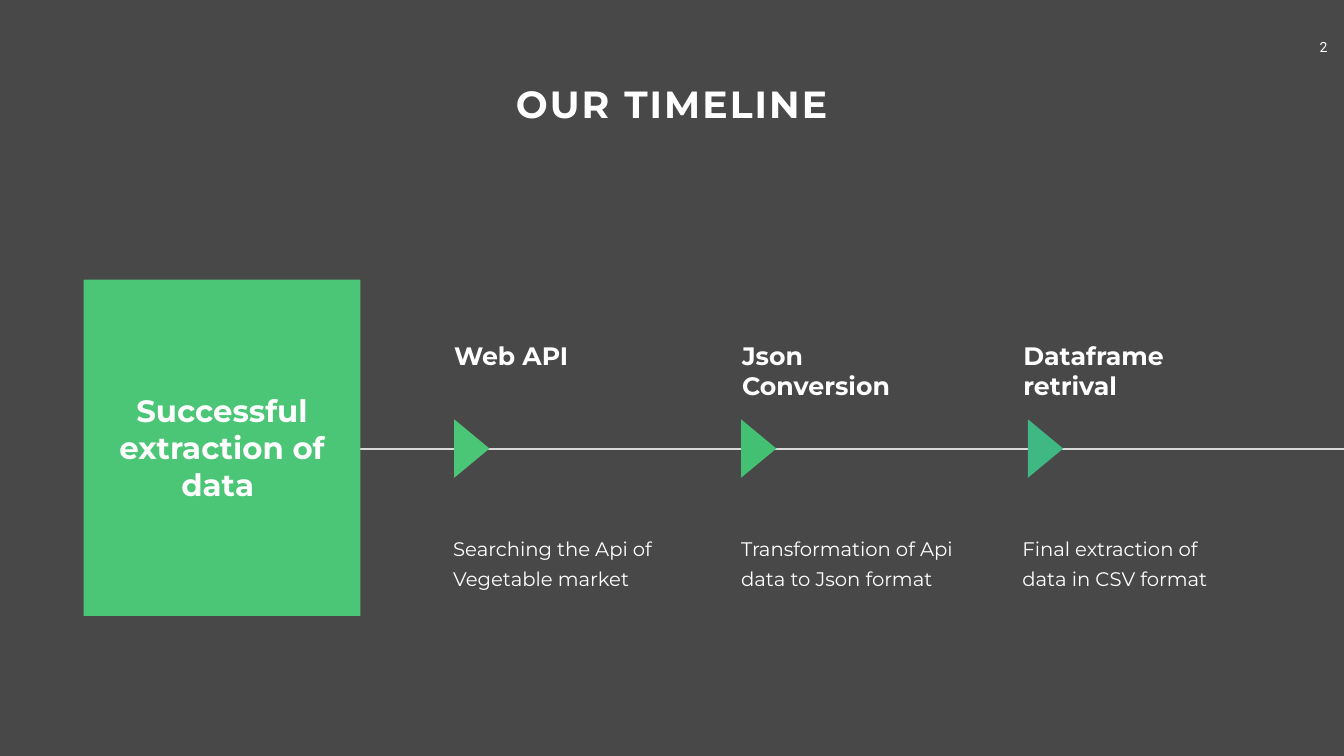
from dataclasses import dataclass

from lxml.etree import SubElement
from pptx import Presentation
from pptx.dml.color import RGBColor
from pptx.enum.shapes import MSO_CONNECTOR, MSO_SHAPE
from pptx.enum.text import MSO_ANCHOR, MSO_AUTO_SIZE, PP_ALIGN
from pptx.oxml.ns import qn
from pptx.shapes.autoshape import Shape
from pptx.slide import Slide
from pptx.util import Inches, Pt

BACKGROUND = RGBColor(0x48, 0x48, 0x48)
WHITE = RGBColor(0xFF, 0xFF, 0xFF)
LINE_GRAY = RGBColor(0xD9, 0xD9, 0xD9)
GREEN = RGBColor(0x4B, 0xC6, 0x76)
MID_GREEN = RGBColor(0x43, 0xC0, 0x72)
TEAL = RGBColor(0x40, 0xB8, 0x84)

SLIDE_WIDTH, SLIDE_HEIGHT = 26.66, 15
AXIS_Y = 8.9
MARKER_LEFT, MARKER_PITCH = 8.78, 5.69
MARKER_WIDTH, MARKER_HEIGHT = 1.16, 0.7
DESCRIPTION_OFFSET = 0.16


@dataclass(frozen=True)
class Box:
    left: float
    top: float
    width: float
    height: float

    def emu(self) -> list[int]:
        return [Inches(value) for value in (self.left, self.top, self.width, self.height)]


@dataclass(frozen=True)
class TextStyle:
    size: float
    bold: bool = False
    name: str = "Montserrat"
    align: PP_ALIGN = PP_ALIGN.LEFT
    inset_x: float = 0.1
    inset_y: float = 0.05
    line_spacing: float | None = None


@dataclass(frozen=True)
class Step:
    heading: str
    description: str
    text_left: float
    description_width: float
    color: RGBColor


TITLE = TextStyle(54, bold=True, align=PP_ALIGN.CENTER)
GOAL = TextStyle(44, bold=True, align=PP_ALIGN.CENTER)
HEADING = TextStyle(36, bold=True)
DESCRIPTION = TextStyle(28, inset_x=0.24, inset_y=0.12, line_spacing=43)
PAGE_NUMBER = TextStyle(20, name="Roboto", align=PP_ALIGN.CENTER, inset_y=0.1)

STEPS = [
    Step("Web API", "Searching the Api of Vegetable market", 8.91, 4.94, GREEN),
    Step("Json Conversion", "Transformation of Api data to Json format", 14.62, 4.81, MID_GREEN),
    Step("Dataframe retrival", "Final extraction of data in CSV format", 20.2, 4.81, TEAL),
]


def set_attributes(target: object, values: dict) -> None:
    for name, value in values.items():
        setattr(target, name, value)


def write_text(shape: Shape, text: str, style: TextStyle) -> None:
    frame = shape.text_frame
    set_attributes(frame, {
        "text": text,
        "word_wrap": True,
        "auto_size": MSO_AUTO_SIZE.NONE,
        "vertical_anchor": MSO_ANCHOR.TOP,
        "margin_left": Inches(style.inset_x),
        "margin_right": Inches(style.inset_x),
        "margin_top": Inches(style.inset_y),
        "margin_bottom": Inches(style.inset_y),
    })
    paragraph = frame.paragraphs[0]
    paragraph.alignment = style.align
    if style.line_spacing:
        paragraph.line_spacing = Pt(style.line_spacing)
    font = paragraph.runs[0].font
    set_attributes(font, {"name": style.name, "size": Pt(style.size), "bold": style.bold})
    font.color.rgb = WHITE


def add_text(slide: Slide, box: Box, text: str, style: TextStyle) -> None:
    write_text(slide.shapes.add_textbox(*box.emu()), text, style)


def add_filled_shape(slide: Slide, kind: MSO_SHAPE, box: Box, color: RGBColor) -> Shape:
    shape = slide.shapes.add_shape(kind, *box.emu())
    shape.shadow.inherit = False
    shape.fill.solid()
    shape.fill.fore_color.rgb = color
    shape.line.fill.background()
    return shape


def add_title(slide: Slide, box: Box, text: str) -> None:
    title = slide.shapes.title
    names = ("left", "top", "width", "height")
    set_attributes(title, dict(zip(names, box.emu())))
    write_text(title, text, TITLE)
    run = title.text_frame.paragraphs[0].runs[0]
    run.font._element.set("spc", "300")


def add_axis(slide: Slide) -> None:
    axis = slide.shapes.add_connector(
        MSO_CONNECTOR.STRAIGHT,
        Inches(4.96), Inches(AXIS_Y), Inches(SLIDE_WIDTH), Inches(AXIS_Y),
    )
    axis.line.color.rgb = LINE_GRAY
    axis.line.width = Pt(3)
    SubElement(axis._element.spPr, qn("a:effectLst"))


def add_step(slide: Slide, index: int, step: Step) -> None:
    add_text(slide, Box(step.text_left, 6.7, 3.92, 1.31), step.heading, HEADING)
    description_box = Box(step.text_left - DESCRIPTION_OFFSET, 10.41, step.description_width, 1.39)
    add_text(slide, description_box, step.description, DESCRIPTION)
    marker_box = Box(
        MARKER_LEFT + index * MARKER_PITCH,
        AXIS_Y - MARKER_HEIGHT / 2,
        MARKER_WIDTH,
        MARKER_HEIGHT,
    )
    marker = add_filled_shape(slide, MSO_SHAPE.ISOSCELES_TRIANGLE, marker_box, step.color)
    marker.rotation = 90


def main() -> None:
    presentation = Presentation()
    presentation.slide_width = Inches(SLIDE_WIDTH)
    presentation.slide_height = Inches(SLIDE_HEIGHT)
    slide = presentation.slides.add_slide(presentation.slide_layouts[5])
    slide.background.fill.solid()
    slide.background.fill.fore_color.rgb = BACKGROUND

    add_text(slide, Box(25.8, 0.67, 0.91, 0.54), "2", PAGE_NUMBER)
    add_title(slide, Box(9.61, 1.55, 7.43, 1.01), "OUR TIMELINE")
    add_axis(slide)
    add_filled_shape(slide, MSO_SHAPE.RECTANGLE, Box(1.66, 5.55, 5.49, 6.67), GREEN)
    add_text(slide, Box(2.2, 7.72, 4.41, 2.32), "Successful extraction of data ", GOAL)
    for index, step in enumerate(STEPS):
        add_step(slide, index, step)

    presentation.save("out.pptx")


if __name__ == "__main__":
    main()
